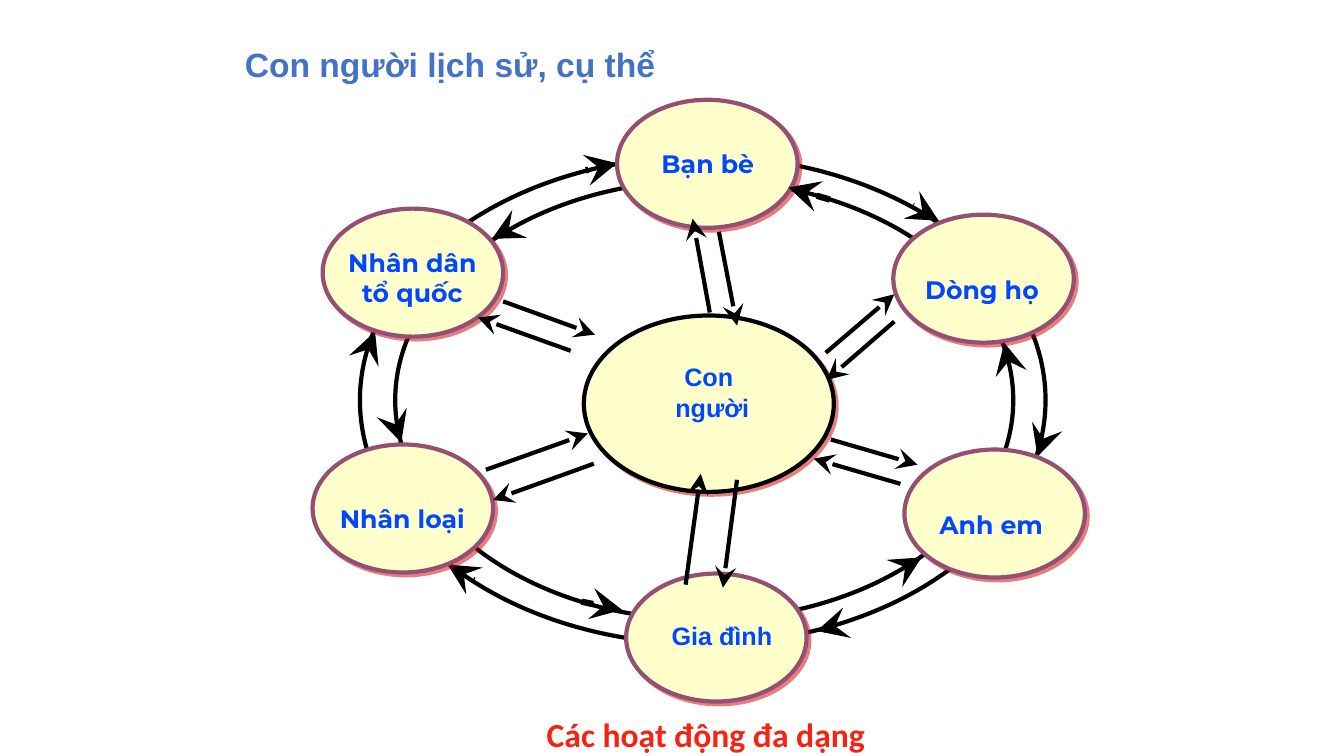
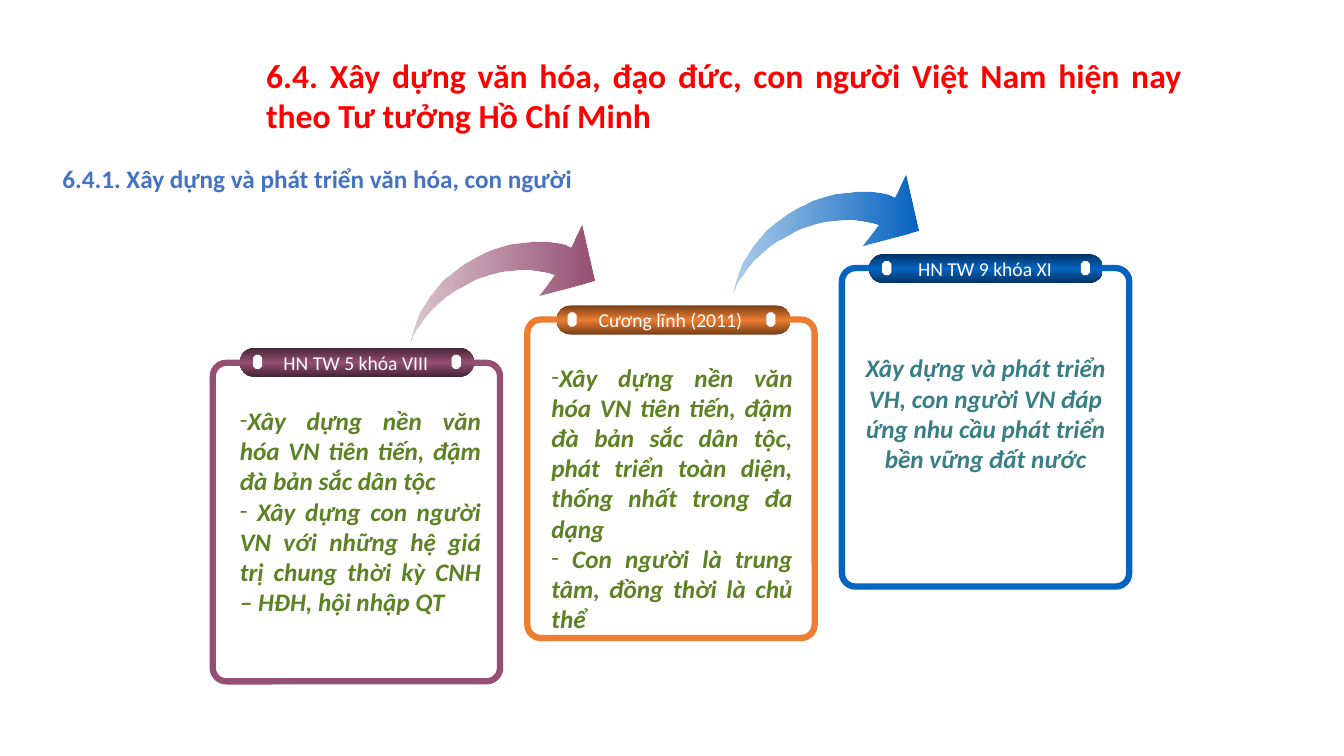
from dataclasses import dataclass
from typing import NamedTuple

from lxml.etree import SubElement
from pptx import Presentation
from pptx.dml.color import RGBColor
from pptx.enum.shapes import MSO_CONNECTOR, MSO_SHAPE as SHAPE
from pptx.enum.text import MSO_ANCHOR as ANCHOR, PP_ALIGN as ALIGN
from pptx.oxml.ns import qn
from pptx.util import Inches, Pt

COLORS = {
    "black": "000000", "white": "FFFFFF", "cream": "FFFFCC", "shadow": "CC0000",
    "plum": "954F72", "plum_dark": "452435",
    "orange": "ED7D31", "orange_dark": "773E18",
    "blue": "0563C1", "blue_dark": "033261",
    "heading": "4472C4", "label": "0047FF", "caption": "F62212",
    "title": "FF0000", "green": "5D8223", "teal": "377F85",
}
STYLES = {
    "title": {"size": Pt(24), "name": "Calibri", "bold": True},
    "heading": {"size": Pt(24), "name": "Arial", "bold": True},
    "subtitle": {"size": Pt(18), "name": "Calibri", "bold": True},
    "label": {"size": Pt(18), "name": "Montserrat", "bold": True},
    "label_arial": {"size": Pt(18), "name": "Arial", "bold": True},
    "pill": {"size": Pt(14), "name": "Calibri"},
    "body": {"size": Pt(18), "name": "Calibri", "bold": True, "italic": True},
}


class Box(NamedTuple):
    left: float
    top: float
    width: float
    height: float

    def emu(self) -> list:
        return [Inches(v) for v in self]


class Stop(NamedTuple):
    position: int
    color: str
    alpha: int = 100


class Arrow(NamedTuple):
    x1: float
    y1: float
    x2: float
    y2: float


@dataclass
class Node:
    left: float
    top: float
    label: Box
    lines: list
    style: str = "label"
    width: float = 1.79
    height: float = 1.27
    line: str = "plum"


@dataclass
class Panel:
    top: float
    color: str
    heading: str
    lines: list
    body_dx: float
    pill_dx: float = 0.27
    pill_dy: float = -0.14
    body_dy: float = 0.37
    text_color: str = "green"
    align: int = ALIGN.JUSTIFY
    bullet: str = "-"


@dataclass
class Swoosh:
    left: float
    top: float
    color: str


RINGS = [Box(3.92, 1.79, 6.13, 4.36), Box(3.57, 1.55, 6.8, 4.84)]
NODES = [
    Node(5.79, 3.13, Box(6.21, 3.54, 1.71, 0.84), ["Con ", "người"],
         "label_arial", 2.48, 1.75, "black"),
    Node(8.86, 2.13, Box(9.08, 2.67, 1.32, 0.3), ["Dòng họ"]),
    Node(8.97, 4.46, Box(9.17, 5, 1.32, 0.23), ["Anh em"]),
    Node(6.21, 5.69, Box(6.5, 6.11, 1.32, 0.23), ["Gia đình"], "label_arial"),
    Node(3.1, 4.41, Box(3.33, 4.94, 1.32, 0.3), ["Nhân loại"]),
    Node(3.2, 2.07, Box(3.43, 2.4, 1.32, 0.6), ["Nhân dân ", "tổ quốc"]),
    Node(6.12, 0.99, Box(6.36, 1.42, 1.32, 0.37), ["Bạn bè"]),
]
OUTER_TIPS = [
    Arrow(3.64, 3.5, 3.72, 3.29), Arrow(5.81, 1.69, 6.12, 1.62),
    Arrow(9.05, 2.04, 9.31, 2.19), Arrow(10.37, 4.28, 10.29, 4.53),
    Arrow(8.36, 6.19, 8.1, 6.26), Arrow(4.7, 5.76, 4.44, 5.6),
]
INNER_TIPS = [
    Arrow(3.92, 4.2, 3.98, 4.39), Arrow(5.77, 5.97, 6.17, 6.05),
    Arrow(8.92, 5.66, 9.14, 5.53), Arrow(10.01, 3.62, 9.96, 3.4),
    Arrow(8.23, 1.98, 7.82, 1.86), Arrow(5.12, 2.24, 4.88, 2.37),
]
SPOKES = [
    Arrow(8.24, 4.36, 9.1, 4.61), Arrow(8.93, 4.8, 8.07, 4.55),
    Arrow(8.19, 3.5, 8.87, 2.92), Arrow(8.87, 3.19, 8.2, 3.77),
    Arrow(7.04, 3.1, 6.87, 2.17), Arrow(7.13, 2.3, 7.31, 3.23),
    Arrow(5.66, 3.48, 4.74, 3.15), Arrow(4.99, 2.99, 5.9, 3.32),
    Arrow(5.89, 4.6, 4.89, 4.96), Arrow(4.82, 4.66, 5.83, 4.3),
    Arrow(7.31, 4.76, 7.17, 5.83), Arrow(6.8, 5.8, 6.95, 4.7),
]
PANEL_LEFT, PANEL_STEP = 2.11, 3.12
PANELS = [
    Panel(3.6, "plum", "HN TW 5 khóa VIII", [
        "Xây dựng nền văn hóa VN tiên tiến, đậm đà bản sắc dân tộc",
        " Xây dựng con người VN với những hệ giá trị chung thời kỳ CNH – HĐH, hội nhập QT",
    ], 0.17, pill_dy=-0.15),
    Panel(3.17, "orange", "Cương lĩnh (2011)", [
        "Xây dựng nền văn hóa VN tiên tiến, đậm đà bản sắc dân tộc, phát triển toàn diện, "
        "thống nhất trong đa dạng",
        " Con người là trung tâm, đồng thời là chủ thể",
    ], 0.14, pill_dx=0.29),
    Panel(2.66, "blue", "HN TW 9 khóa XI", [
        "Xây dựng và phát triển VH, con người VN đáp ứng nhu cầu phát triển bền vững đất nước",
    ], 0.13, body_dy=0.79, text_color="teal", align=ALIGN.CENTER, bullet=""),
]
SWOOSHES = [Swoosh(7.28, 1.73, "blue"), Swoosh(4.07, 2.23, "plum")]
SWOOSH_POINTS = [
    (0, 116), (2, 113), (3, 109), (6, 104), (10, 99), (14, 93), (20, 86), (27, 79),
    (35, 72), (44, 66), (55, 60), (67, 54), (79, 50), (91, 47), (101, 46), (111, 45),
    (119, 45), (126, 46), (132, 47), (137, 48), (143, 50), (127, 71), (183, 56),
    (170, 0), (159, 23), (153, 20), (149, 19), (143, 18), (136, 17), (129, 17),
    (120, 17), (111, 18), (101, 19), (90, 22), (79, 26), (66, 32), (54, 39), (43, 47),
    (33, 55), (26, 63), (19, 72), (14, 80), (9, 88), (6, 96), (4, 102), (2, 108),
]


def rgb(color: str) -> RGBColor:
    return RGBColor.from_string(COLORS[color])


def add_color(parent, color: str, alpha: int) -> None:
    clr = SubElement(parent, qn("a:srgbClr"), val=COLORS[color])
    if alpha < 100:
        SubElement(clr, qn("a:alpha"), val=str(alpha * 1000))


def paint(sp, fill: str = "", line: str = "", width: float = 3) -> None:
    sp.shadow.inherit = False
    if fill:
        sp.fill.solid()
        sp.fill.fore_color.rgb = rgb(fill)
    else:
        sp.fill.background()
    if line:
        sp.line.color.rgb = rgb(line)
        sp.line.width = Pt(width)
    else:
        sp.line.fill.background()


def paint_gradient(sp, stops: list, angle: int) -> None:
    paint(sp)
    sp.fill.gradient()
    sp.fill.gradient_angle = angle
    gs_list = sp.element.spPr.find(".//" + qn("a:gsLst"))
    for old in list(gs_list):
        gs_list.remove(old)
    for stop in stops:
        gs = SubElement(gs_list, qn("a:gs"), pos=str(stop.position * 1000))
        add_color(gs, stop.color, stop.alpha)


def add_preset(s, kind: int, box: Box, adjust: float | None = None):
    sp = s.shapes.add_shape(kind, *box.emu())
    if adjust is not None:
        sp.adjustments[0] = adjust
    return sp


def add_text(s, box: Box, lines: list, style: str, color: str, align: int = ALIGN.LEFT,
             wrap: bool = True, anchor: int = ANCHOR.TOP, bullet: str = "",
             spacing: float | None = None, inset: float = 0.1) -> None:
    tf = s.shapes.add_textbox(*box.emu()).text_frame
    tf.word_wrap = wrap
    tf.vertical_anchor = anchor
    tf.margin_left = tf.margin_right = Inches(inset)
    for i, line in enumerate(lines):
        p = tf.paragraphs[0] if i == 0 else tf.add_paragraph()
        p.alignment = align
        if spacing:
            p.line_spacing = spacing
        if bullet:
            props = p._p.get_or_add_pPr()
            SubElement(props, qn("a:buFont"), typeface=STYLES[style]["name"])
            SubElement(props, qn("a:buChar"), char=bullet)
        r = p.add_run()
        r.text = line
        for name, value in STYLES[style].items():
            setattr(r.font, name, value)
        r.font.color.rgb = rgb(color)


def add_arrow(s, arrow: Arrow, width: float) -> None:
    cxn = s.shapes.add_connector(MSO_CONNECTOR.STRAIGHT, *[Inches(v) for v in arrow])
    cxn.line.color.rgb = rgb("black")
    cxn.line.width = Pt(width)
    sp_pr = cxn.element.spPr
    SubElement(sp_pr.find(qn("a:ln")), qn("a:tailEnd"), type="stealth", w="lg", len="lg")
    SubElement(sp_pr, qn("a:effectLst"))


def add_node(s, node: Node) -> None:
    sp = add_preset(s, SHAPE.OVAL, Box(node.left, node.top, node.width, node.height))
    paint(sp, "cream", node.line)
    effects = sp.element.spPr.find(qn("a:effectLst"))
    shadow = SubElement(effects, qn("a:outerShdw"), dist=str(Pt(2.8)),
                        dir=str(45 * 60000), algn="ctr", rotWithShape="0")
    add_color(shadow, "shadow", 50)


def add_swoosh(s, swoosh: Swoosh) -> None:
    builder = s.shapes.build_freeform(*SWOOSH_POINTS[0], scale=Inches(0.01))
    builder.add_line_segments(SWOOSH_POINTS[1:], close=True)
    sp = builder.convert_to_shape(Inches(swoosh.left), Inches(swoosh.top))
    paint_gradient(sp, [Stop(0, swoosh.color, 32), Stop(100, swoosh.color)], 0)


def add_panel(s, left: float, panel: Panel) -> None:
    top, dark = panel.top, panel.color + "_dark"
    pill_top = top + panel.pill_dy
    frame = add_preset(s, SHAPE.ROUNDED_RECTANGLE, Box(left, top, 2.85, 3.16), 0.047)
    paint(frame, line=panel.color, width=4.5)
    pill = add_preset(s, SHAPE.ROUNDED_RECTANGLE,
                      Box(left + panel.pill_dx, pill_top, 2.32, 0.29), 0.5)
    paint_gradient(pill, [Stop(0, dark), Stop(50, panel.color), Stop(100, dark)], 90)
    for dx in (0.4, 2.37):
        clip = add_preset(s, SHAPE.OCTAGON, Box(left + dx, pill_top + 0.07, 0.09, 0.14), 0.293)
        paint(clip, "white")
    add_text(s, Box(left + 0.4, pill_top - 0.02, 2.04, 0.34), [panel.heading], "pill",
             "white", ALIGN.CENTER, wrap=False)
    add_text(s, Box(left + panel.body_dx, top + panel.body_dy, 2.59, 2.52), panel.lines,
             "body", panel.text_color, panel.align, bullet=panel.bullet)


def build_relations(s) -> None:
    add_text(s, Box(2.33, 0.43, 4.89, 0.58), ["Con người lịch sử, cụ thể"],
             "heading", "heading", spacing=0.9)
    for ring in RINGS:
        paint(add_preset(s, SHAPE.OVAL, ring), line="black")
    for arrow in OUTER_TIPS:
        add_arrow(s, arrow, 4.5)
    for node in NODES:
        add_node(s, node)
    for node in NODES:
        add_text(s, node.label, node.lines, node.style, "label", ALIGN.CENTER,
                 wrap=False, inset=0)
    for arrow in SPOKES:
        add_arrow(s, arrow, 3)
    for arrow in INNER_TIPS:
        add_arrow(s, arrow, 4.5)
    add_text(s, Box(4.39, 7.03, 5.22, 0.58), ["Các hoạt động đa dạng"],
             "title", "caption", ALIGN.CENTER)


def build_stages(s) -> None:
    add_text(s, Box(2.54, 0.49, 9.28, 0.91),
             ["6.4. Xây dựng văn hóa, đạo đức, con người Việt Nam hiện nay "
              "theo Tư tưởng Hồ Chí Minh"],
             "title", "title", ALIGN.JUSTIFY, anchor=ANCHOR.MIDDLE)
    add_text(s, Box(0.52, 1.57, 6.67, 0.4),
             ["6.4.1. Xây dựng và phát triển văn hóa, con người"],
             "subtitle", "heading", ALIGN.JUSTIFY)
    for swoosh in SWOOSHES:
        add_swoosh(s, swoosh)
    for i, panel in enumerate(PANELS):
        add_panel(s, PANEL_LEFT + i * PANEL_STEP, panel)


def main() -> None:
    prs = Presentation()
    prs.slide_width, prs.slide_height = Inches(13.33), Inches(7.5)
    for build in (build_relations, build_stages):
        build(prs.slides.add_slide(prs.slide_layouts[6]))
    prs.save("out.pptx")


if __name__ == "__main__":
    main()
